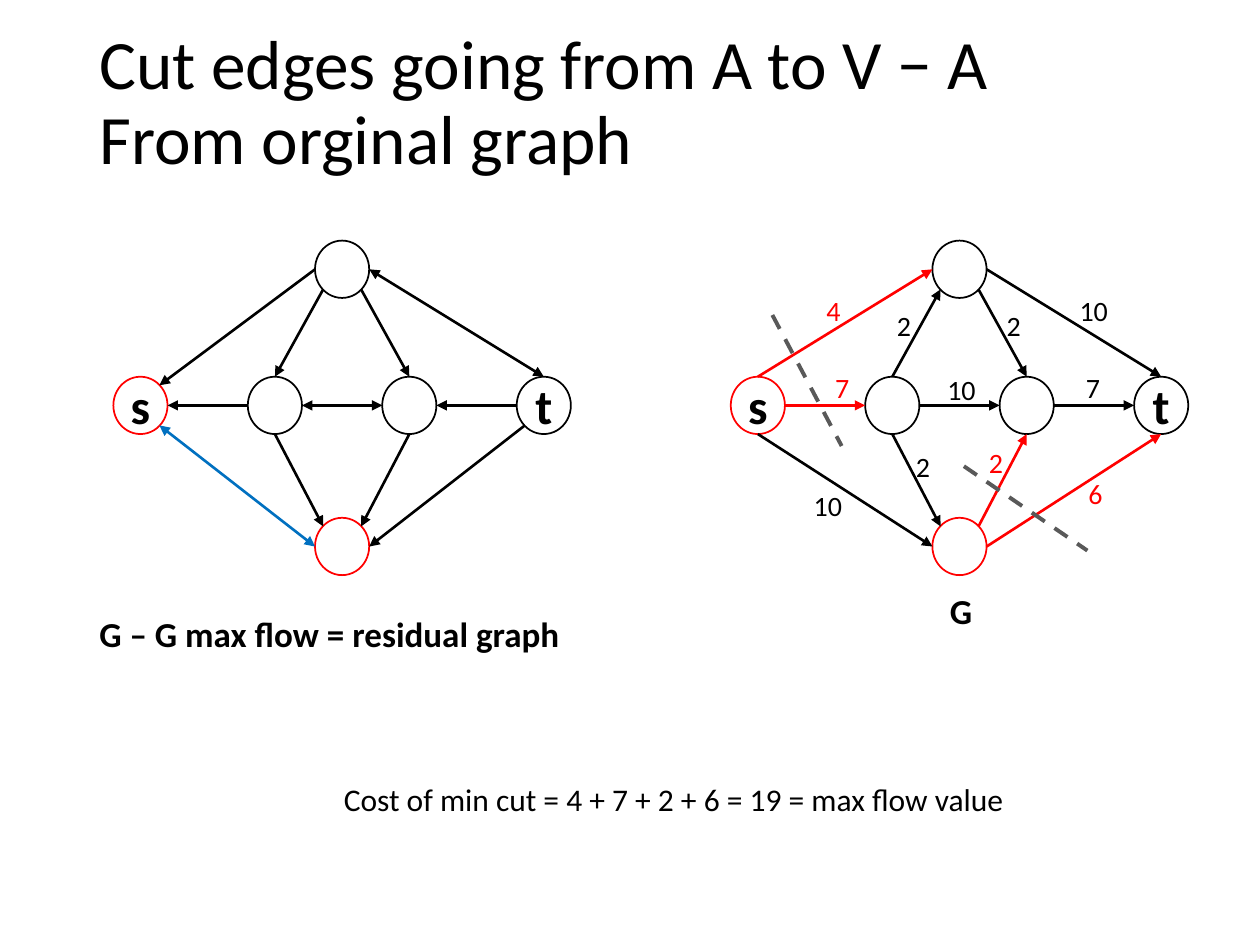
from lxml.etree import SubElement
from pptx import Presentation
from pptx.dml.color import RGBColor
from pptx.enum.dml import MSO_LINE
from pptx.enum.shapes import MSO_CONNECTOR, MSO_SHAPE
from pptx.enum.text import MSO_ANCHOR, MSO_AUTO_SIZE, PP_ALIGN
from pptx.oxml.ns import qn
from pptx.util import Inches, Pt

INK = {"black": "000000", "red": "FF0000", "blue": "0070C0",
       "grey": "595959", "white": "FFFFFF"}
COLS, ROWS = 100, 75            # slide grid, one cell is a tenth of an inch
PITCH, WIDE, HIGH = 10.67, 4.3, 4.55
LEVEL = {"top": 19.1, "mid": 29.9, "low": 41.1}

# Node: column in the graph, level, label, colour
NODES = {
    "t": (3, "mid", "t", "black"), "s": (0, "mid", "s", "red"),
    "a": (1, "mid", "", "black"), "b": (2, "mid", "", "black"),
    "u": (1.5, "top", "", "black"), "d": (1.5, "low", "", "red"),
}
# Points on a node's rim, as shares of its width and height
RIM = {"n": (.5, 0), "s": (.5, 1), "w": (0, .5), "e": (1, .5),
       "nw": (.15, .15), "ne": (.85, .15), "sw": (.15, .85), "se": (.85, .85)}


class Board:
    font = "Calibri"

    def __init__(self):
        self.deck = Presentation()
        self.deck.slide_width, self.deck.slide_height = Inches(10), Inches(7.5)
        self.page = self.deck.slides.add_slide(self.deck.slide_layouts[6])

    def grid(self, col, row):
        return (int(self.deck.slide_width * col / COLS),
                int(self.deck.slide_height * row / ROWS))

    def ink(self, name):
        return RGBColor.from_string(INK[name])

    def run(self, para, text, size, color="black", bold=False):
        run = para.add_run()
        run.text = text
        run.font.name, run.font.size, run.font.bold = self.font, Pt(size), bold
        run.font.color.rgb = self.ink(color)

    def label(self, col, row, wide, high, words, size, color="black", bold=False):
        box = self.page.shapes.add_textbox(*self.grid(col, row), *self.grid(wide, high))
        box.text_frame.word_wrap = False
        box.text_frame.auto_size = MSO_AUTO_SIZE.SHAPE_TO_FIT_TEXT
        self.run(box.text_frame.paragraphs[0], words, size, color, bold)

    def title(self, col, row, wide, high, lines, size):
        box = self.page.shapes.add_textbox(*self.grid(col, row), *self.grid(wide, high))
        frame = box.text_frame
        frame.word_wrap, frame.vertical_anchor = True, MSO_ANCHOR.MIDDLE
        frame.margin_bottom = Inches(0.64)
        para = frame.paragraphs[0]
        para.line_spacing = 0.9
        for i, line in enumerate(lines):
            if i:
                para.add_line_break()
            self.run(para, line, size)

    def node(self, col, row, label, color):
        ring = self.page.shapes.add_shape(
            MSO_SHAPE.OVAL, *self.grid(col, row), *self.grid(WIDE, HIGH))
        ring.shadow.inherit = False
        ring.fill.solid()
        ring.fill.fore_color.rgb = self.ink("white")
        ring.line.color.rgb, ring.line.width = self.ink(color), Pt(1)
        if label:
            frame = ring.text_frame
            frame.word_wrap, frame.vertical_anchor = False, MSO_ANCHOR.MIDDLE
            frame.paragraphs[0].alignment = PP_ALIGN.CENTER
            self.run(frame.paragraphs[0], label, 28, bold=True)

    def line(self, start, end, color="black", width=1.5, tips=(), dash=False):
        link = self.page.shapes.add_connector(
            MSO_CONNECTOR.STRAIGHT, *self.grid(*start), *self.grid(*end))
        link.line.color.rgb, link.line.width = self.ink(color), Pt(width)
        if dash:
            link.line.dash_style = MSO_LINE.DASH
        props = link._element.spPr
        for tip in tips:
            SubElement(props.find(qn("a:ln")), qn("a:" + tip), type="triangle")
        SubElement(props, qn("a:effectLst"))

    def graph(self, left, edges):
        spot = {}
        for name, (step, level, label, color) in NODES.items():
            spot[name] = (left + step * PITCH, LEVEL[level])
            self.node(*spot[name], label, color)

        def rim(key):
            name, side = key.split(".")
            (col, row), (dx, dy) = spot[name], RIM[side]
            return col + dx * WIDE, row + dy * HIGH

        for start, end, color, both in edges:
            tips = ("headEnd", "tailEnd") if both else ("tailEnd",)
            self.line(rim(start), rim(end), color, tips=tips)


board = Board()
board.title(6.9, 4, 86.2, 14.5,
            ["Cut edges going from A to V − A", "From orginal graph"], 39.6)

# Residual graph: start, end, colour, arrow at both ends
board.graph(9, [
    ("u.w", "s.ne", "black", False), ("u.e", "t.n", "black", True),
    ("u.sw", "a.n", "black", False), ("u.se", "b.n", "black", False),
    ("s.se", "d.w", "blue", True), ("a.w", "s.e", "black", False),
    ("t.sw", "d.e", "black", False), ("t.w", "b.e", "black", False),
    ("b.w", "a.e", "black", True), ("a.s", "d.nw", "black", False),
    ("b.s", "d.ne", "black", False),
])
board.label(6.9, 48.1, 38.9, 4.4, "G – G max flow = residual graph", 20, bold=True)

# Source graph, cut edges in red
board.graph(58, [
    ("s.e", "a.w", "red", False), ("a.e", "b.w", "black", False),
    ("b.e", "t.w", "black", False), ("s.n", "u.w", "red", False),
    ("u.se", "b.n", "black", False), ("u.e", "t.n", "black", False),
    ("a.n", "u.sw", "black", False), ("s.s", "d.w", "black", False),
    ("d.e", "t.s", "red", False), ("a.s", "d.nw", "black", False),
    ("d.ne", "b.s", "red", False),
])

# Edge capacities
for col, row, value, color in [
    (64.6, 22.8, "4", "red"), (65.3, 28.9, "7", "red"),
    (63.6, 38.3, "10", "black"), (84.7, 22.8, "10", "black"),
    (78.9, 24, "2", "black"), (70.2, 24, "2", "black"),
    (74.2, 29.1, "10", "black"), (85.2, 28.9, "7", "black"),
    (71.7, 35.2, "2", "black"), (77.5, 34.9, "2", "red"),
    (85.4, 37.3, "6", "red"),
]:
    board.label(col, row, 2.1 + 1.1 * len(value), 3.7, value, 16, color)
board.label(74.4, 46.3, 3.8, 4.4, "G", 20, bold=True)

# Result and cut marks
board.label(26.3, 61.4, 55.1, 4,
            "Cost of min cut = 4 + 7 + 2 + 6 = 19 = max flow value", 18)
for start, end in [((61.3, 25), (66.8, 35.4)), ((76.5, 37), (86.3, 43.7))]:
    board.line(start, end, "grey", 2.25, dash=True)

board.deck.save("out.pptx")
